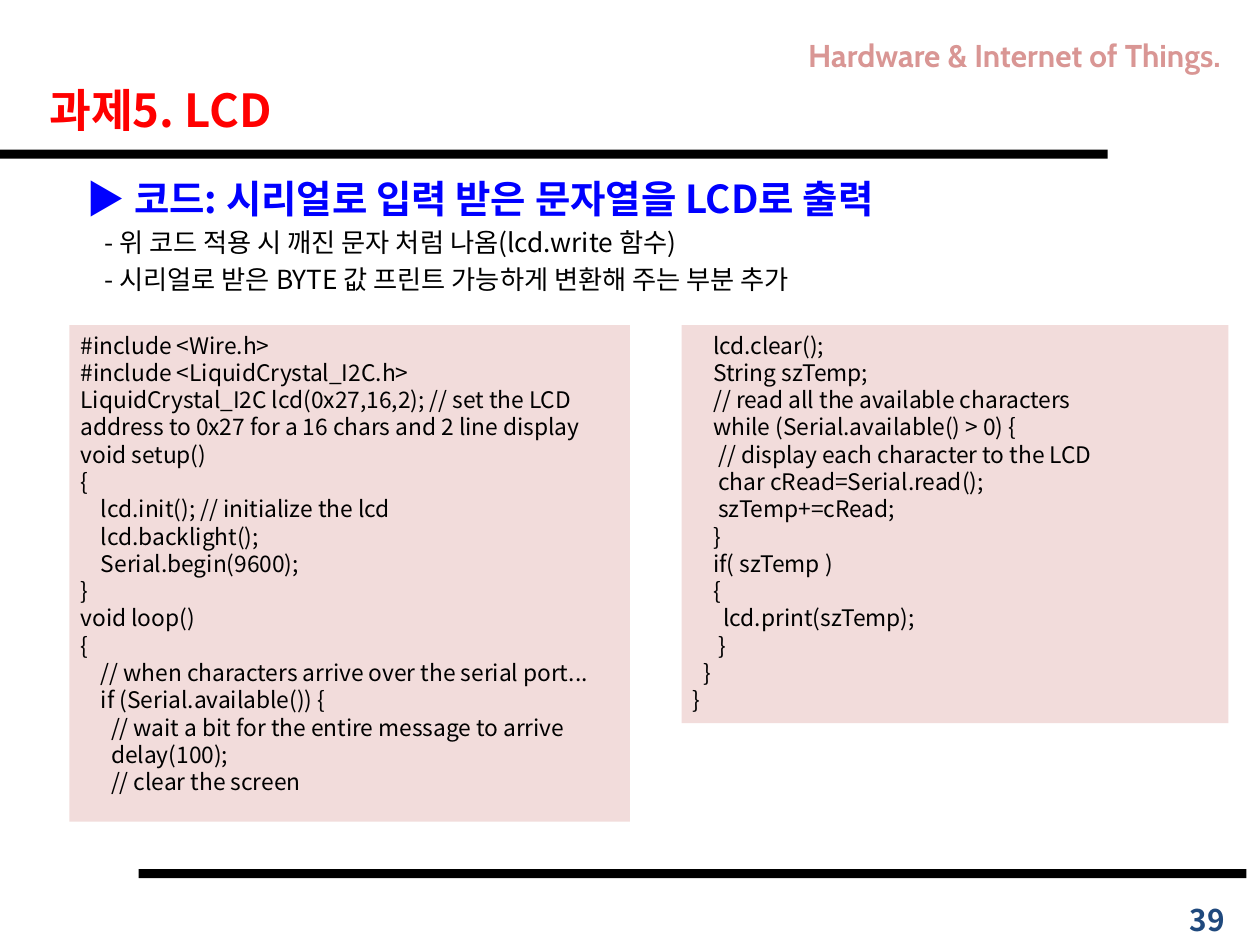
from dataclasses import dataclass

from lxml.etree import SubElement
from pptx import Presentation
from pptx.dml.color import RGBColor
from pptx.enum.shapes import MSO_SHAPE
from pptx.enum.text import MSO_ANCHOR, MSO_AUTO_SIZE, PP_ALIGN
from pptx.oxml.ns import qn
from pptx.util import Pt


@dataclass(frozen=True)
class Theme:
    text_font: str = "Noto Sans CJK KR"
    course_font: str = "Cabin"
    black: str = "000000"
    title_color: str = "FF0000"
    heading_color: str = "0000FF"
    course_color: str = "D99694"
    number_color: str = "1F497D"
    code_fill: str = "F2DCDB"
    title_size: float = 26
    heading_size: float = 22
    course_size: float = 18
    number_size: float = 17
    item_size: float = 15
    code_size: float = 13
    line_factor: float = 1.2


THEME = Theme()


def write_text(para, text, *, size, color=THEME.black, font=THEME.text_font,
               bold=False, align=PP_ALIGN.LEFT, before=0, margin=0, hanging=0):
    properties = para._p.get_or_add_pPr()
    properties.set("marL", str(Pt(margin)))
    properties.set("indent", str(-Pt(hanging)))
    SubElement(properties, qn("a:buNone"))
    para.alignment = align
    para.line_spacing = Pt(round(size * THEME.line_factor, 2))
    para.space_before = Pt(before)
    para.space_after = Pt(0)
    span = para.add_run()
    span.text = text
    span.font.size = Pt(size)
    span.font.bold = bold
    span.font.name = font
    span.font.color.rgb = RGBColor.from_string(color)
    SubElement(span._r.get_or_add_rPr(), qn("a:ea"), typeface=font)


class SlideWriter:
    def __init__(self, slide, theme):
        self.slide = slide
        self.theme = theme

    def fill_frame(self, shape, lines, anchor=MSO_ANCHOR.TOP, side=7.2):
        frame = shape.text_frame
        frame.word_wrap = True
        frame.auto_size = MSO_AUTO_SIZE.NONE
        frame.vertical_anchor = anchor
        frame.margin_left = frame.margin_right = Pt(side)
        frame.margin_top = frame.margin_bottom = Pt(3.6)
        for index, (text, style) in enumerate(lines):
            para = frame.add_paragraph() if index else frame.paragraphs[0]
            write_text(para, text, **style)

    def place(self, shape, left, top, width, height):
        shape.left, shape.top = Pt(left), Pt(top)
        shape.width, shape.height = Pt(width), Pt(height)

    def title(self, text, *bounds):
        shape = self.slide.shapes.title
        self.place(shape, *bounds)
        style = dict(size=self.theme.title_size, color=self.theme.title_color, bold=True)
        self.fill_frame(shape, [(text, style)], side=6.5)

    def body(self, heading, items, *bounds):
        shape = self.slide.placeholders[1]
        self.place(shape, *bounds)
        heading_style = dict(size=self.theme.heading_size, color=self.theme.heading_color,
                             bold=True, margin=26.6, hanging=26.6)
        item_style = dict(size=self.theme.item_size, before=3, margin=10)
        lines = [(heading, heading_style)] + [(item, item_style) for item in items]
        self.fill_frame(shape, lines)

    def label(self, text, *bounds, anchor=MSO_ANCHOR.TOP, **style):
        box = self.slide.shapes.add_textbox(*map(Pt, bounds))
        style = dict(style, bold=True, align=PP_ALIGN.RIGHT)
        self.fill_frame(box, [(text, style)], anchor)

    def panel(self, color, *bounds):
        shape = self.slide.shapes.add_shape(MSO_SHAPE.RECTANGLE, *map(Pt, bounds))
        shape.shadow.inherit = False
        shape.fill.solid()
        shape.fill.fore_color.rgb = RGBColor.from_string(color)
        shape.line.fill.background()
        return shape

    def code(self, source, *bounds):
        shape = self.panel(self.theme.code_fill, *bounds)
        style = dict(size=self.theme.code_size)
        lines = [(line, style) for line in source.strip("\n").split("\n")]
        self.fill_frame(shape, lines, side=6.5)


SETUP_CODE = """
#include <Wire.h>
#include <LiquidCrystal_I2C.h>
LiquidCrystal_I2C lcd(0x27,16,2); // set the LCD address to 0x27 for a 16 chars and 2 line display
void setup()
{
    lcd.init(); // initialize the lcd
    lcd.backlight();
    Serial.begin(9600);
}
void loop()
{
    // when characters arrive over the serial port...
    if (Serial.available()) {
      // wait a bit for the entire message to arrive
      delay(100);
      // clear the screen
"""

READ_CODE = """
    lcd.clear();
    String szTemp;
    // read all the available characters
    while (Serial.available() > 0) {
     // display each character to the LCD
     char cRead=Serial.read();
     szTemp+=cRead;
    }
    if( szTemp )
    {
      lcd.print(szTemp);
     }
  }
}
"""


def main():
    deck = Presentation()
    deck.slide_width, deck.slide_height = Pt(720), Pt(540)
    page = SlideWriter(deck.slides.add_slide(deck.slide_layouts[1]), THEME)

    page.body("▶ 코드: 시리얼로 입력 받은 문자열을 LCD로 출력",
              ["- 위 코드 적용 시 깨진 문자 처럼 나옴(lcd.write 함수)",
               "- 시리얼로 받은 BYTE 값 프린트 가능하게 변환해 주는 부분 추가"],
              42.5, 96.5, 641.5, 89.3)
    page.label("39", 666.7, 511.2, 40.3, 28.8, anchor=MSO_ANCHOR.MIDDLE,
               size=THEME.number_size, color=THEME.number_color)
    for left, top in ((79.2, 496.6), (0, 85.5)):
        page.panel(THEME.black, left, top, 633, 5.2)
    page.label("Hardware & Internet of Things.", 296.6, 17.3, 408.2, 28.8,
               size=THEME.course_size, color=THEME.course_color, font=THEME.course_font)
    page.title("과제5. LCD", 21.6, 43.2, 661.7, 38.2)
    page.code(SETUP_CODE, 39.6, 185.8, 320.4, 283.7)
    page.code(READ_CODE, 389.5, 185.8, 312.5, 227.5)

    deck.save("out.pptx")


if __name__ == "__main__":
    main()
